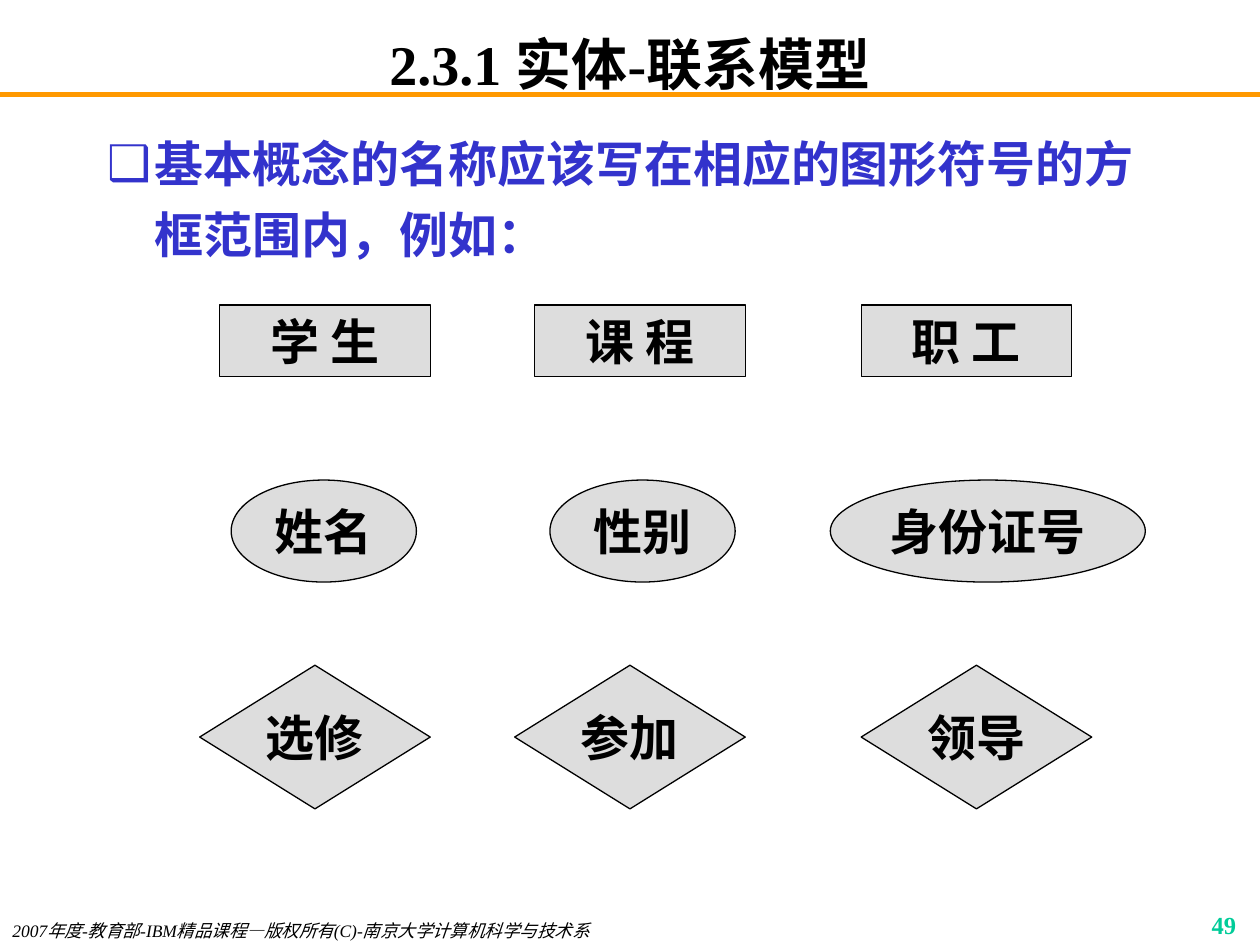
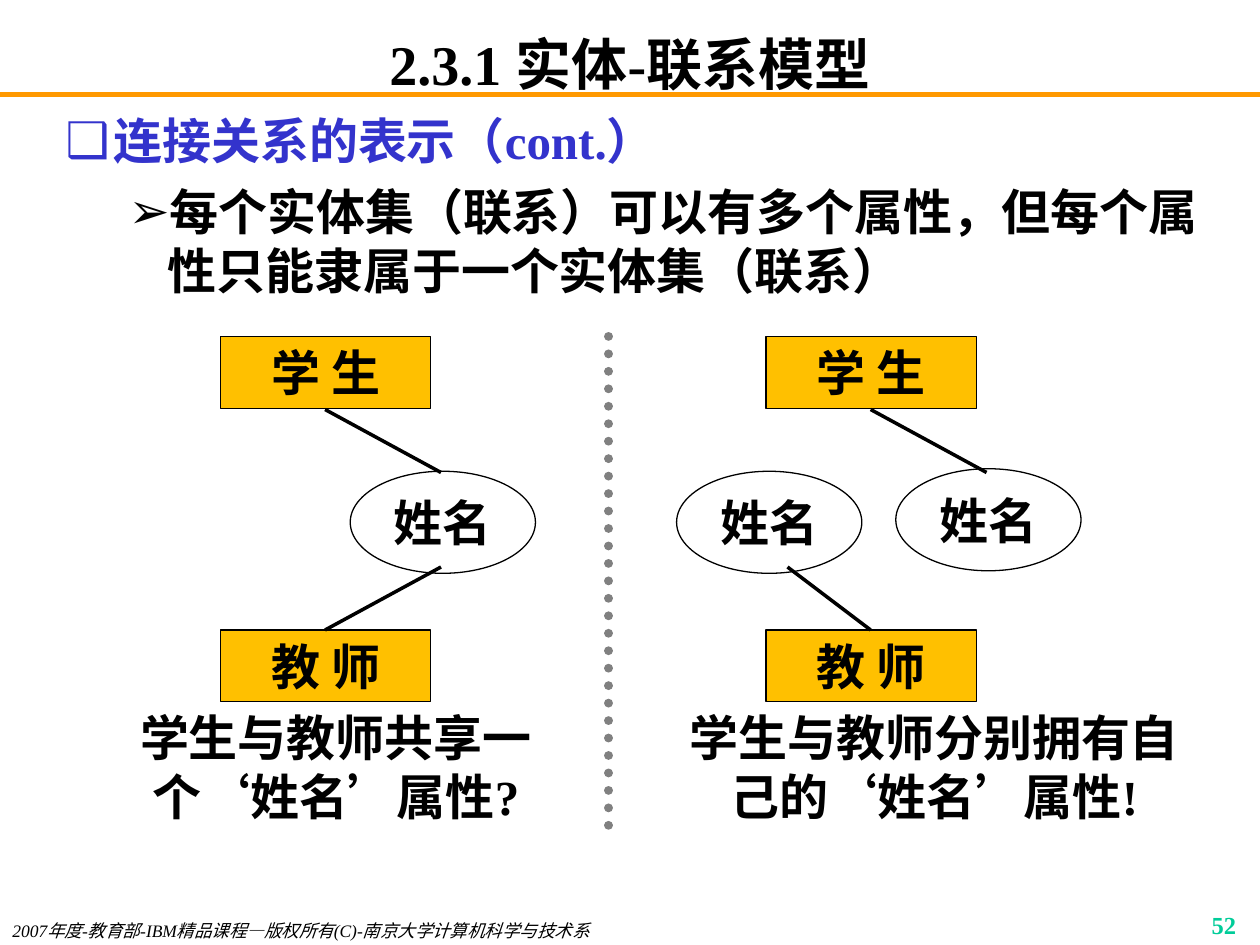
from dataclasses import dataclass

from lxml.etree import SubElement
from pptx import Presentation
from pptx.dml.color import RGBColor
from pptx.enum.dml import MSO_LINE
from pptx.enum.lang import MSO_LANGUAGE_ID
from pptx.enum.shapes import MSO_CONNECTOR, MSO_SHAPE
from pptx.enum.text import MSO_ANCHOR, MSO_AUTO_SIZE, PP_ALIGN
from pptx.oxml.ns import qn
from pptx.util import Inches, Pt


@dataclass(frozen=True)
class Theme:
    font: str = "Times New Roman"
    ink: str = "000000"
    topic: str = "3333CC"
    rule: str = "FF9900"
    number: str = "00CC99"
    symbol: str = "DDDDDD"
    entity: str = "FFC000"
    attribute: str = "FFFFFF"
    divider: str = "808080"
    title_size: int = 32
    text_size: int = 28
    footer_size: int = 10
    number_size: int = 14


THEME = Theme()
TITLE = "2.3.1 实体-联系模型"
COPYRIGHT = "2007年度-教育部-IBM精品课程—版权所有(C)-南京大学计算机科学与技术系"

ENTITY_SIZE = (1.67, 0.57)
ATTRIBUTE_SIZE = (1.47, 0.81)
RELATION_SIZE = (1.83, 1.14)


# Shared helpers
def format_paragraph(paragraph, size=THEME.text_size, color=THEME.ink,
                     align=PP_ALIGN.LEFT, bold=True, italic=False):
    paragraph.alignment = align
    paragraph.space_before = Pt(0)
    for run in paragraph.runs:
        font = run.font
        font.name, font.size = THEME.font, Pt(size)
        font.bold, font.italic = bold, italic
        font.color.rgb = RGBColor.from_string(color)
        font.language_id = MSO_LANGUAGE_ID.SIMPLIFIED_CHINESE


def place(part, left, top, width, height):
    part.left, part.top = Inches(left), Inches(top)
    part.width, part.height = Inches(width), Inches(height)


def add_label(slide, box, text, **style):
    label = slide.shapes.add_textbox(*map(Inches, box))
    label.text_frame.word_wrap = True
    label.text_frame.text = text
    format_paragraph(label.text_frame.paragraphs[0], **style)


def add_symbol(slide, kind, left, top, size, text, fill):
    symbol = slide.shapes.add_shape(kind, *map(Inches, (left, top, *size)))
    symbol.shadow.inherit = False
    symbol.fill.solid()
    symbol.fill.fore_color.rgb = RGBColor.from_string(fill)
    symbol.line.color.rgb = RGBColor.from_string(THEME.ink)
    symbol.line.width = Pt(0.75)
    frame = symbol.text_frame
    frame.word_wrap = False
    frame.vertical_anchor = MSO_ANCHOR.MIDDLE
    frame.text = text
    format_paragraph(frame.paragraphs[0], align=PP_ALIGN.CENTER)


def add_line(slide, start, end, color=THEME.ink, width=2):
    line = slide.shapes.add_connector(MSO_CONNECTOR.STRAIGHT, *map(Inches, (*start, *end)))
    line.line.color.rgb = RGBColor.from_string(color)
    line.line.width = Pt(width)
    SubElement(line._element.spPr, qn("a:effectLst"))
    return line


def set_bullet(paragraph, character, color, margin, hanging):
    properties = paragraph._p.get_or_add_pPr()
    properties.set("marL", str(Inches(margin)))
    properties.set("indent", str(-Inches(hanging)))
    bullet_color = SubElement(properties, qn("a:buClr"))
    SubElement(bullet_color, qn("a:srgbClr"), val=color)
    SubElement(properties, qn("a:buChar"), char=character)


# Title, rule and footer of every slide
def add_base_slide(presentation, number):
    slide = presentation.slides.add_slide(presentation.slide_layouts[1])
    add_line(slide, (0, 0.75), (10, 0.75), THEME.rule, 3)

    title = slide.shapes.title
    place(title, 0.75, 0.25, 8.5, 0.5)
    frame = title.text_frame
    frame.auto_size = MSO_AUTO_SIZE.NONE
    frame.vertical_anchor = MSO_ANCHOR.MIDDLE
    frame.margin_top = frame.margin_bottom = 0
    frame.text = TITLE
    format_paragraph(frame.paragraphs[0], THEME.title_size, align=PP_ALIGN.CENTER)

    add_label(slide, (0, 7.25, 5.5, 0.25), COPYRIGHT,
              size=THEME.footer_size, bold=False, italic=True)
    add_label(slide, (7.83, 7.17, 2.08, 0.25), str(number),
              size=THEME.number_size, color=THEME.number, align=PP_ALIGN.RIGHT)
    return slide


# Topic in blue, with optional point below it
def fill_body(slide, box, topic, point=None, line_spacing=1.0):
    body = slide.placeholders[1]
    place(body, *box)
    frame = body.text_frame
    frame.auto_size = MSO_AUTO_SIZE.NONE
    frame.vertical_anchor = MSO_ANCHOR.TOP
    frame.text = topic
    heading = frame.paragraphs[0]
    set_bullet(heading, "❑", THEME.topic, 0.38, 0.38)
    format_paragraph(heading, color=THEME.topic)
    heading.line_spacing = line_spacing
    if point:
        detail = frame.add_paragraph()
        detail.text = point
        detail.level = 1
        set_bullet(detail, "➢", THEME.ink, 0.81, 0.31)
        format_paragraph(detail)
        detail.space_before = Pt(7)


# One row of symbols, each given by its centre and text
def add_symbol_row(slide, kind, top, size, items):
    for center, text, *wider in items:
        width = wider[0] if wider else size[0]
        add_symbol(slide, kind, center - width / 2, top, (width, size[1]), text, THEME.symbol)


def build_symbols_slide(presentation):
    slide = add_base_slide(presentation, 49)
    fill_body(slide, (0.75, 0.92, 8.5, 1.42),
              "基本概念的名称应该写在相应的图形符号的方框范围内，例如：", line_spacing=1.2)
    add_symbol_row(slide, MSO_SHAPE.RECTANGLE, 2.42, ENTITY_SIZE,
                   [(2.58, "学 生"), (5.08, "课 程"), (7.67, "职 工")])
    add_symbol_row(slide, MSO_SHAPE.OVAL, 3.81, ATTRIBUTE_SIZE,
                   [(2.57, "姓名"), (5.1, "性别"), (7.84, "身份证号", 2.5)])
    add_symbol_row(slide, MSO_SHAPE.FLOWCHART_DECISION, 5.28, RELATION_SIZE,
                   [(2.5, "选修"), (5, "参加"), (7.75, "领导")])


# Student above teacher, with name attributes between them
def add_ownership(slide, left, top, attributes, teacher_link, caption, caption_width):
    for offset, entity in ((0, "学 生"), (2.33, "教 师")):
        add_symbol(slide, MSO_SHAPE.RECTANGLE, left + 0.75, top + offset,
                   ENTITY_SIZE, entity, THEME.entity)
    for x, y in attributes:
        add_symbol(slide, MSO_SHAPE.OVAL, left + x, top + y,
                   ATTRIBUTE_SIZE, "姓名", THEME.attribute)
    entity_center = left + 1.58
    add_line(slide, (entity_center, top + 0.58), (left + 2.5, top + 1.08))
    add_line(slide, (entity_center, top + 2.33), (left + teacher_link, top + 1.83))
    add_label(slide, (left, top + 2.9, caption_width, 1.04), caption, align=PP_ALIGN.CENTER)


def add_divider(slide, x, top, bottom):
    divider = add_line(slide, (x, top), (x, bottom), THEME.divider, 5)
    divider.line.dash_style = MSO_LINE.ROUND_DOT
    divider._element.spPr.find(qn("a:ln")).set("cap", "rnd")


def build_ownership_slide(presentation):
    slide = add_base_slide(presentation, 52)
    fill_body(slide, (0.42, 0.83, 9.25, 1.67), "连接关系的表示（cont.）",
              "每个实体集（联系）可以有多个属性，但每个属性只能隶属于一个实体集（联系）")
    add_ownership(slide, 1, 2.67, [(1.78, 1.07)], 2.5,
                  "学生与教师共享一个‘姓名’属性?", 3.33)
    add_ownership(slide, 5.33, 2.67, [(1.78, 1.05), (0.04, 1.07)], 0.92,
                  "学生与教师分别拥有自己的‘姓名’属性!", 4.17)
    add_divider(slide, 4.83, 2.67, 6.67)


def main():
    presentation = Presentation()
    presentation.slide_width = Inches(10)
    presentation.slide_height = Inches(7.5)
    build_symbols_slide(presentation)
    build_ownership_slide(presentation)
    presentation.save("out.pptx")


if __name__ == "__main__":
    main()
